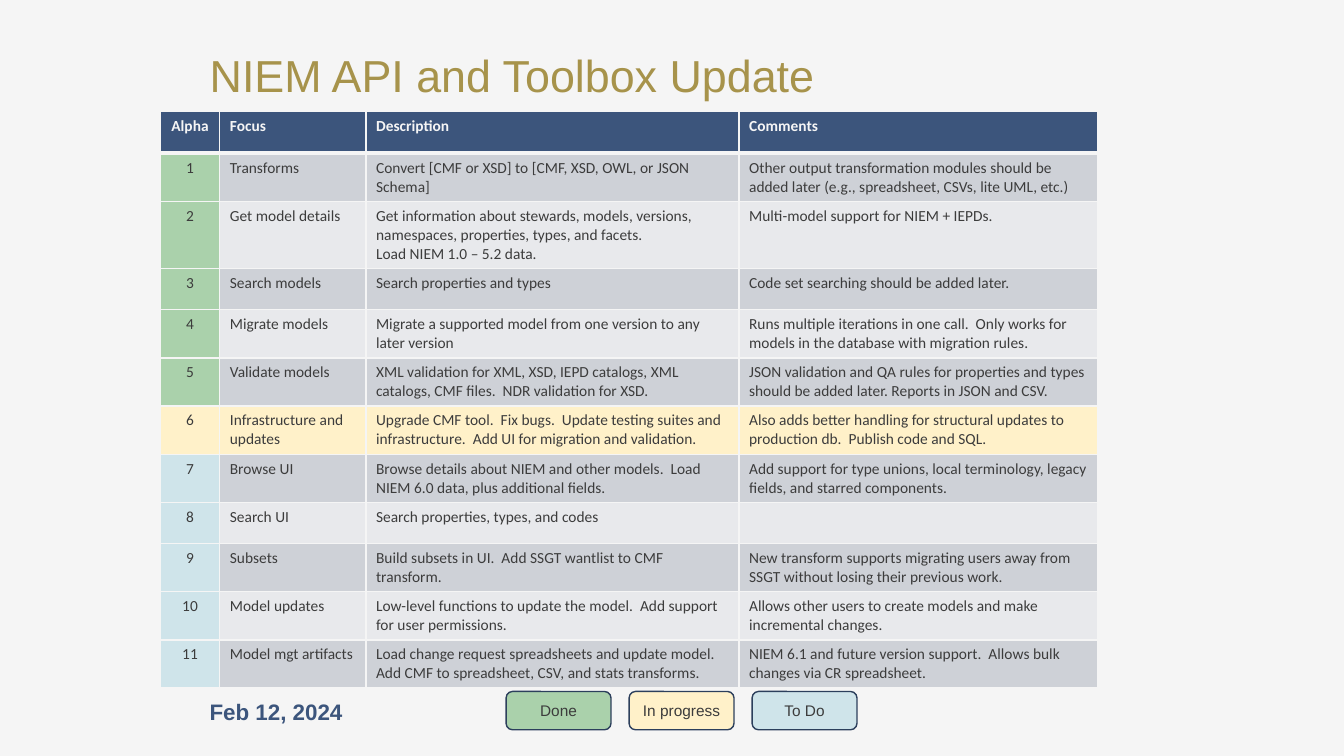
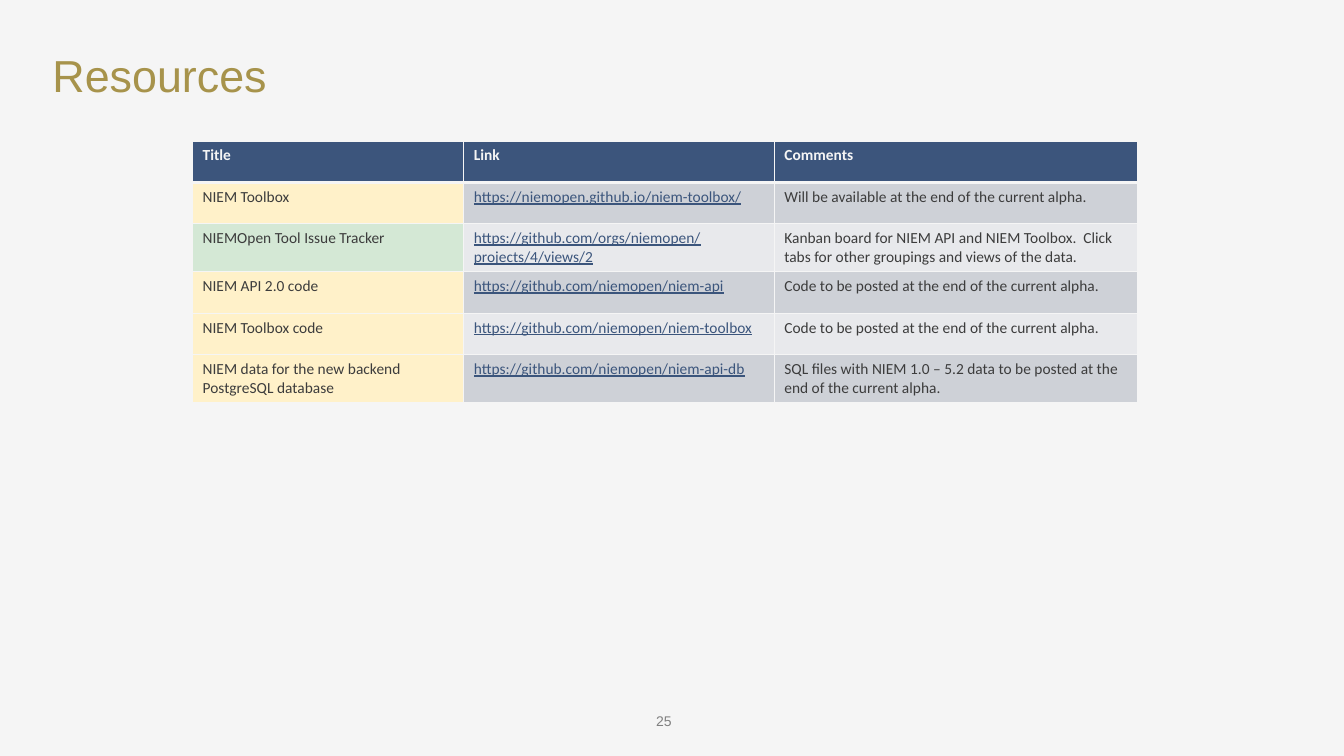
from lxml import etree
from pptx import Presentation
from pptx.dml.color import RGBColor
from pptx.enum import shapes, text
from pptx.oxml.ns import qn
from pptx.util import Inches, Pt

COLORS = {
    "background": "F5F5F5",
    "title": "A7934B",
    "navy": "3C557C",
    "outline": "2C3F5C",
    "link": "3B557C",
    "text": "3C3C3C",
    "page_number": "808080",
    "band_dark": "CED1D7",
    "band_light": "E8E9EC",
    "done": "AAD1AB",
    "live": "D4E8D5",
    "progress": "FFF1C9",
    "todo": "CFE4EA",
}
ROW_HEIGHT = 0.41
CENTER = text.PP_ALIGN.CENTER
LEFT = text.PP_ALIGN.LEFT

# The first item of each body row is the status that colours it.
ALPHA_HEADER = ("Alpha", "Focus", "Description", "Comments")
ALPHA_ROWS = [
    ("done", "1", "Transforms",
     "Convert [CMF or XSD] to [CMF, XSD, OWL, or JSON Schema]",
     "Other output transformation modules should be added later "
     "(e.g., spreadsheet, CSVs, lite UML, etc.)"),
    ("done", "2", "Get model details",
     "Get information about stewards, models, versions, namespaces, "
     "properties, types, and facets.\nLoad NIEM 1.0 – 5.2 data.",
     "Multi-model support for NIEM + IEPDs."),
    ("done", "3", "Search models", "Search properties and types",
     "Code set searching should be added later."),
    ("done", "4", "Migrate models",
     "Migrate a supported model from one version to any later version",
     "Runs multiple iterations in one call.  Only works for models in the "
     "database with migration rules."),
    ("done", "5", "Validate models",
     "XML validation for XML, XSD, IEPD catalogs, XML catalogs, CMF files.  "
     "NDR validation for XSD.",
     "JSON validation and QA rules for properties and types should be added "
     "later. Reports in JSON and CSV."),
    ("progress", "6", "Infrastructure and updates",
     "Upgrade CMF tool.  Fix bugs.  Update testing suites and "
     "infrastructure.  Add UI for migration and validation.",
     "Also adds better handling for structural updates to production db.  "
     "Publish code and SQL."),
    ("todo", "7", "Browse UI",
     "Browse details about NIEM and other models.  Load NIEM 6.0 data, plus "
     "additional fields.",
     "Add support for type unions, local terminology, legacy fields, and "
     "starred components."),
    ("todo", "8", "Search UI", "Search properties, types, and codes", ""),
    ("todo", "9", "Subsets",
     "Build subsets in UI.  Add SSGT wantlist to CMF transform.",
     "New transform supports migrating users away from SSGT without losing "
     "their previous work."),
    ("todo", "10", "Model updates",
     "Low-level functions to update the model.  Add support for user "
     "permissions.",
     "Allows other users to create models and make incremental changes."),
    ("todo", "11", "Model mgt artifacts",
     "Load change request spreadsheets and update model.  Add CMF to "
     "spreadsheet, CSV, and stats transforms.",
     "NIEM 6.1 and future version support.  Allows bulk changes via CR "
     "spreadsheet."),
]
LEGEND = [("done", "Done"), ("progress", "In progress"), ("todo", "To Do")]

RESOURCE_HEADER = ("Title", "Link", "Comments")
RESOURCE_ROWS = [
    ("progress", "NIEM Toolbox", "https://niemopen.github.io/niem-toolbox/",
     "Will be available at the end of the current alpha."),
    ("live", "NIEMOpen Tool Issue Tracker",
     "https://github.com/orgs/niemopen/projects/4/views/2",
     "Kanban board for NIEM API and NIEM Toolbox.  Click tabs for other "
     "groupings and views of the data."),
    ("progress", "NIEM API 2.0 code", "https://github.com/niemopen/niem-api",
     "Code to be posted at the end of the current alpha."),
    ("progress", "NIEM Toolbox code",
     "https://github.com/niemopen/niem-toolbox",
     "Code to be posted at the end of the current alpha."),
    ("progress", "NIEM data for the new backend PostgreSQL database",
     "https://github.com/niemopen/niem-api-db",
     "SQL files with NIEM 1.0 – 5.2 data to be posted at the end of the "
     "current alpha."),
]


def rgb(name):
    return RGBColor.from_string(COLORS[name])


def set_text(frame, content, size, color, font="Arial", bold=False,
             align=LEFT, underline=False):
    frame.text = content
    for para in frame.paragraphs:
        para.alignment = align
        for span in para.runs:
            span.font.name = font
            span.font.size = Pt(size)
            span.font.bold = bold
            span.font.underline = underline
            span.font.color.rgb = rgb(color)


def add_titled_slide(deck, title, left, width):
    slide = deck.slides.add_slide(deck.slide_layouts.get_by_name("Title Only"))
    box = slide.shapes.title
    box.left, box.top = Inches(left), Inches(0.22)
    box.width, box.height = Inches(width), Inches(1.11)
    set_text(box.text_frame, title, 32, "title")
    box.text_frame.vertical_anchor = text.MSO_ANCHOR.MIDDLE
    box.text_frame.paragraphs[0].line_spacing = 0.9
    return slide


def add_text(slide, content, left, top, width, height, size, color, **style):
    box = slide.shapes.add_textbox(Inches(left), Inches(top),
                                   Inches(width), Inches(height))
    box.text_frame.word_wrap = True
    set_text(box.text_frame, content, size, color, **style)


def set_borders(cell, row):
    """Rule the cell in the background colour, thicker under the header."""
    widths = {"lnL": 1, "lnR": 1,
              "lnT": 3 if row == 1 else 1,
              "lnB": 3 if row == 0 else 1}
    properties = cell._tc.get_or_add_tcPr()
    for tag, width in widths.items():
        line = etree.SubElement(properties, qn(f"a:{tag}"), w=str(Pt(width)))
        fill = etree.SubElement(line, qn("a:solidFill"))
        etree.SubElement(fill, qn("a:srgbClr"), val=COLORS["background"])


def add_status_table(slide, left, top, widths, header, rows,
                     first_align=LEFT, full_row_status=None):
    """Colour the first column by status, or all of a full_row_status row."""
    frame = slide.shapes.add_table(
        len(rows) + 1, len(widths), Inches(left), Inches(top),
        Inches(sum(widths)), Inches(ROW_HEIGHT * (len(rows) + 1)))
    table = frame.table
    for column, width in zip(table.columns, widths):
        column.width = Inches(width)
    for r, (status, *contents) in enumerate([("navy", *header), *rows]):
        table.rows[r].height = Inches(ROW_HEIGHT)
        band = "band_dark" if r % 2 else "band_light"
        for c, content in enumerate(contents):
            cell = table.cell(r, c)
            set_borders(cell, r)
            whole_row = r == 0 or status == full_row_status
            cell.fill.solid()
            cell.fill.fore_color.rgb = rgb(
                status if c == 0 or whole_row else band)
            is_link = content.startswith("https://")
            color = "background" if r == 0 else "link" if is_link else "text"
            set_text(cell.text_frame, content, 11, color, font="Calibri",
                     bold=r == 0, underline=is_link,
                     align=first_align if c == 0 else LEFT)


def add_legend(slide, left, top, pitch):
    for i, (status, label) in enumerate(LEGEND):
        key = slide.shapes.add_shape(
            shapes.MSO_SHAPE.ROUNDED_RECTANGLE, Inches(left + i * pitch),
            Inches(top), Inches(1.04), Inches(0.38))
        key.shadow.inherit = False
        key.fill.solid()
        key.fill.fore_color.rgb = rgb(status)
        key.line.color.rgb = rgb("outline")
        key.line.width = Pt(1)
        key.text_frame.vertical_anchor = text.MSO_ANCHOR.MIDDLE
        set_text(key.text_frame, label, 11, "text", align=CENTER)


def build_update_slide(deck):
    slide = add_titled_slide(deck, "NIEM API and Toolbox Update", 1.98, 6.24)
    add_status_table(slide, 1.59, 1.11, (0.59, 1.45, 3.7, 3.56),
                     ALPHA_HEADER, ALPHA_ROWS, first_align=CENTER,
                     full_row_status="progress")
    add_legend(slide, 5.02, 6.86, 1.22)
    add_text(slide, "Feb 12, 2024", 1.98, 6.88, 1.98, 0.37, 16, "navy",
             bold=True)


def build_resources_slide(deck):
    slide = add_titled_slide(deck, "Resources", 0.42, 12.5)
    add_status_table(slide, 1.91, 1.4, (2.69, 3.08, 3.6),
                     RESOURCE_HEADER, RESOURCE_ROWS)
    add_text(slide, "25", 6.41, 7.02, 0.54, 0.28, 10, "page_number")


def main():
    deck = Presentation()
    deck.slide_width, deck.slide_height = Inches(13.33), Inches(7.5)
    background = deck.slide_master.background.fill
    background.solid()
    background.fore_color.rgb = rgb("background")
    build_update_slide(deck)
    build_resources_slide(deck)
    deck.save("out.pptx")


if __name__ == "__main__":
    main()
